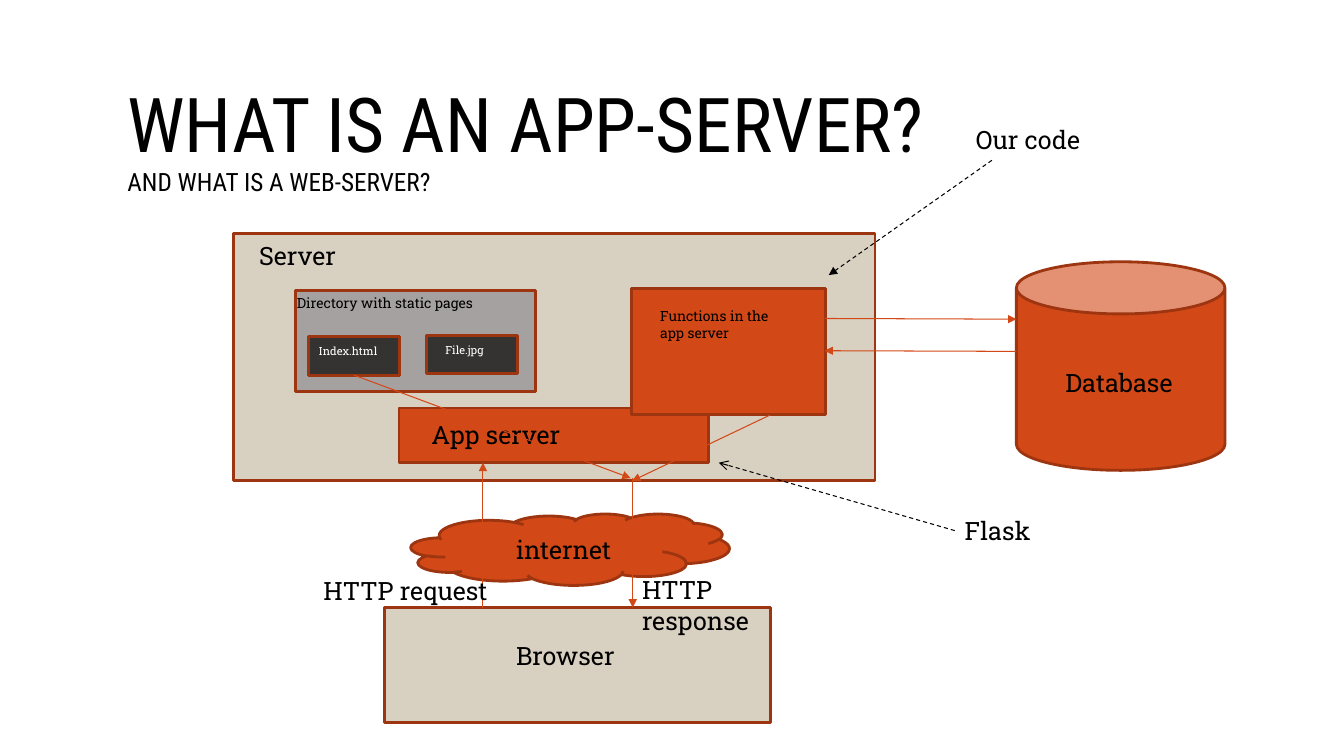
from dataclasses import dataclass

from lxml import etree
from pptx import Presentation
from pptx.dml.color import RGBColor
from pptx.enum.dml import MSO_LINE
from pptx.enum.shapes import MSO_CONNECTOR, MSO_SHAPE
from pptx.enum.text import MSO_ANCHOR
from pptx.oxml.ns import qn
from pptx.util import Pt

RECT = MSO_SHAPE.RECTANGLE
CLOUD = MSO_SHAPE.CLOUD
CAN = MSO_SHAPE.CAN
STRAIGHT = MSO_CONNECTOR.STRAIGHT
DASH = MSO_LINE.DASH
TOP = MSO_ANCHOR.TOP
MIDDLE = MSO_ANCHOR.MIDDLE
BOTTOM_SITE = 2


@dataclass(frozen=True)
class Theme:
    ink: str = "000000"
    paper: str = "FFFFFF"
    sand: str = "D8D0C0"
    rust: str = "D34817"
    edge: str = "9C3510"
    grey: str = "A6A1A1"
    dark: str = "353232"
    head: str = "Roboto Condensed"
    body: str = "Roboto Slab"
    huge: int = 54
    base: int = 18
    small: int = 10
    tiny: int = 8
    border: float = 2
    thin: float = 0.75


T = Theme()


def color(code):
    return RGBColor.from_string(code)


def write(slide, text, x, y, w, h=29, size=T.base, tint=T.ink,
          font=T.body, anchor=TOP, space=None, sub=None):
    box = slide.shapes.add_textbox(Pt(x), Pt(y), Pt(w), Pt(h))
    frame = box.text_frame
    frame.word_wrap = True
    frame.vertical_anchor = anchor
    para = frame.paragraphs[0]
    para.line_spacing = space
    parts = [(text, size)]
    if sub:
        parts.append((sub, T.base))
    for i, (part, points) in enumerate(parts):
        if i:
            para.add_line_break()
        run = para.add_run()
        run.text = part
        run.font.size = Pt(points)
        run.font.name = font
        run.font.color.rgb = color(tint)


def block(slide, kind, x, y, w, h, fill):
    shape = slide.shapes.add_shape(kind, Pt(x), Pt(y), Pt(w), Pt(h))
    shape.shadow.inherit = False
    shape.fill.solid()
    shape.fill.fore_color.rgb = color(fill)
    shape.line.color.rgb = color(T.edge)
    shape.line.width = Pt(T.border)
    return shape


def arrow(slide, start, end, tint=T.rust, dash=None, tip="triangle", source=None):
    link = slide.shapes.add_connector(STRAIGHT, *map(Pt, start + end))
    if source is not None:
        link.begin_connect(source, BOTTOM_SITE)
    link.line.color.rgb = color(tint)
    link.line.width = Pt(T.thin)
    if dash:
        link.line.dash_style = dash
    props = link._element.spPr
    etree.SubElement(props.find(qn("a:ln")), qn("a:tailEnd"), type=tip)
    etree.SubElement(props, qn("a:effectLst"))


def heading(slide, x, y, w, h):
    write(slide, "WHAT IS AN APP-SERVER? ", x, y, w, h, size=T.huge,
          font=T.head, anchor=MIDDLE, space=0.9, sub="AND WHAT IS A WEB-SERVER?")


def folder(slide, x, y, w, h):
    block(slide, RECT, x, y, w, h, T.grey)
    write(slide, "Directory with static pages", x - 6, y - 1, w + 5, 19, size=T.small)
    files = []
    for name, left, top, inset in (("Index.html", 9.5, 33, 0), ("File.jpg", 93.5, 32, 6.5)):
        files.append(block(slide, RECT, x + left, y + top, 65, 27.5, T.dark))
        write(slide, name, x + left + inset, y + top + 2, 60, 17,
              size=T.tiny, tint=T.paper)
    return files[0]


def server(slide, x, y, w, h):
    block(slide, RECT, x, y, w, h, T.sand)
    write(slide, "Server", x + 11, y + 1.5, 74)
    block(slide, RECT, x + 118, y + 125, 221, 39, T.rust)
    write(slide, "App server", x + 134, y + 129.5, 201)
    page = folder(slide, x + 44, y + 41, 171.5, 72)
    block(slide, RECT, x + 284, y + 39.5, 138.5, 90, T.rust)
    write(slide, "Functions in the app server", x + 297.5, y + 49.5, 100, 31, size=T.small)
    arrow(slide, (x + 53, y + 101.5), (x + 283.5, y + 175), source=page)
    arrow(slide, (x + 383, y + 130), (x + 284.5, y + 177))


def client(slide, x, y, w, h):
    floor = y + 103.5
    block(slide, RECT, x + 50.5, floor, 276, h - 103.5, T.sand)
    block(slide, CLOUD, x + 69.5, y + 36.5, 227.5, 51, T.rust)
    write(slide, "Browser", x + 137.5, y + 123, 192)
    arrow(slide, (x + 121, floor), (x + 121, y))
    arrow(slide, (x + 228, y + 11), (x + 228, floor))
    write(slide, "internet", x + 137.5, y + 47.5, 135)
    write(slide, "HTTP request", x, y + 77, 158)
    write(slide, "HTTP response", x + 227.5, y + 76.5, w - 227.5, 50)


def database(slide, x, y, w, h):
    block(slide, CAN, x, y, w, h, T.rust)
    write(slide, "Database", x + 28, y + 71.5, 114)
    arrow(slide, (x - 137, y + 40.5), (x, y + 41))
    arrow(slide, (x, y + 64), (x - 137, y + 63.5))


def callout(slide, text, x, y, w, start, end, tip):
    write(slide, text, x, y, w)
    arrow(slide, (x + start[0], y + start[1]), (x + end[0], y + end[1]),
          tint=T.ink, dash=DASH, tip=tip)


def main():
    deck = Presentation()
    deck.slide_width, deck.slide_height = Pt(960), Pt(540)
    slide = deck.slides.add_slide(deck.slide_layouts[6])
    heading(slide, 84, 38, 792, 127)
    server(slide, 167, 166.5, 458, 176.5)
    client(slide, 224, 330.5, 368, 185.5)
    database(slide, 726, 187, 149, 149)
    callout(slide, "Flask", 682, 364.5, 72, (0, 14.5), (-168.5, -34), "arrow")
    callout(slide, "Our code", 690, 85.5, 110, (18.5, 29), (-98, 111), "triangle")
    deck.save("out.pptx")


if __name__ == "__main__":
    main()
